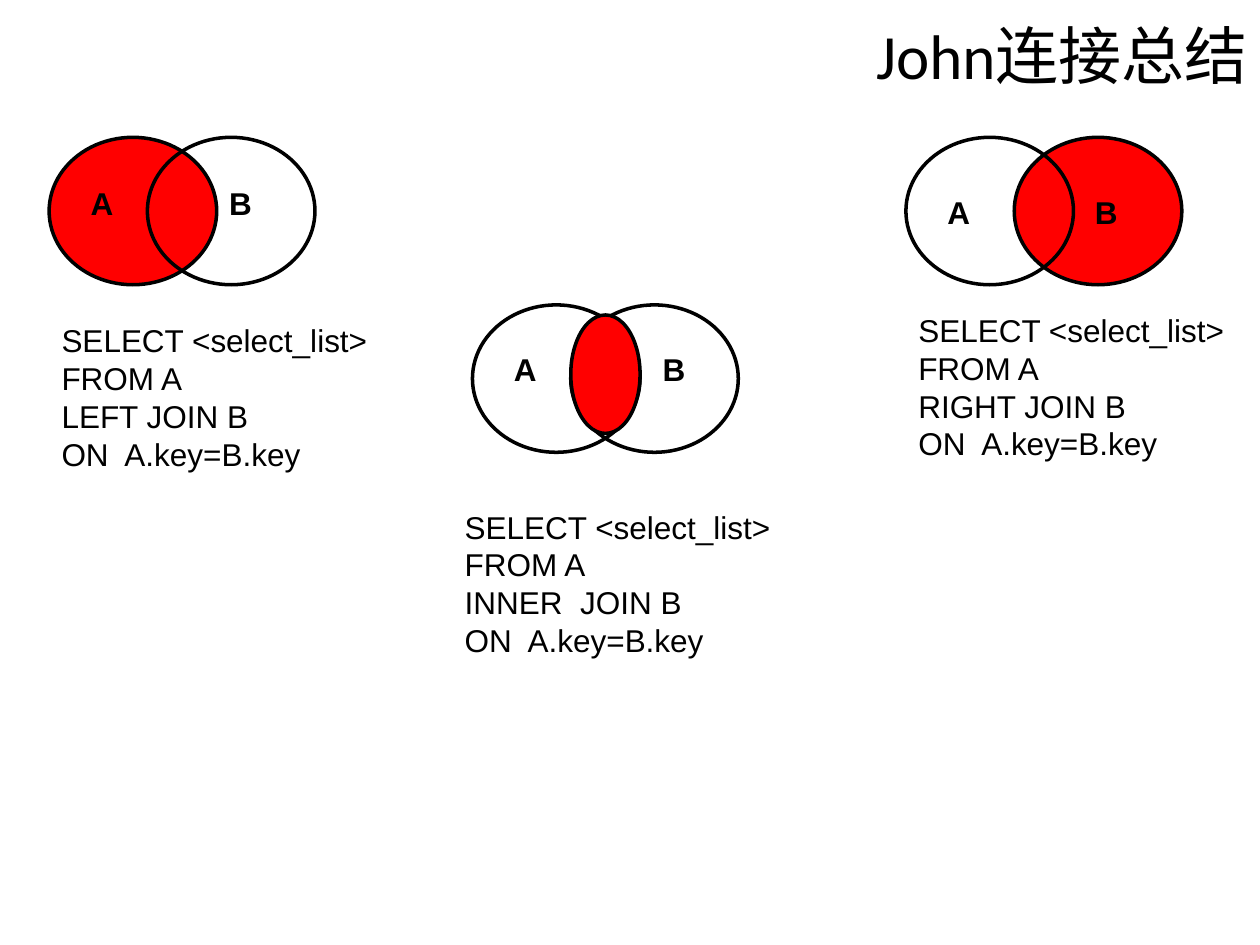
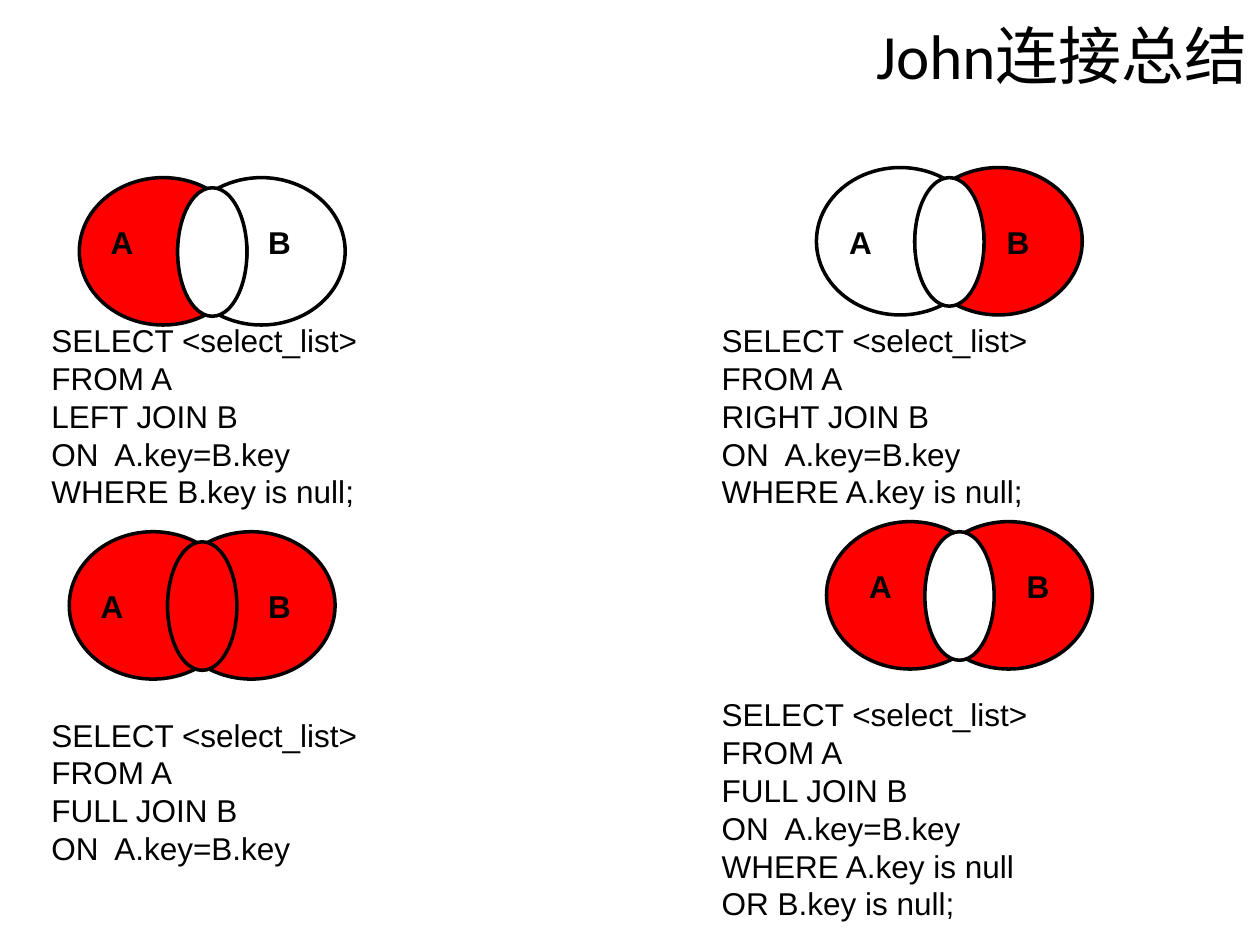
from pptx import Presentation
from pptx.dml.color import RGBColor
from pptx.enum.shapes import MSO_SHAPE as Shape
from pptx.enum.text import MSO_ANCHOR as Anchor, PP_ALIGN as Align
from pptx.util import Inches, Pt

BLACK, RED, WHITE = "000000", "FF0000", "FFFFFF"
CIRCLE_WIDTH, CIRCLE_HEIGHT = 1.33, 1.17
LENS_WIDTH, LENS_DROP = 0.55, 0.08
TITLE = "John连接总结"


def add_ellipse(shapes, left, top, width, height, fill):
    ellipse = shapes.add_shape(Shape.OVAL, Inches(left), Inches(top),
                               Inches(width), Inches(height))
    ellipse.shadow.inherit = False
    if fill:
        ellipse.fill.solid()
        ellipse.fill.fore_color.rgb = RGBColor.from_string(fill)
    else:
        ellipse.fill.background()
    ellipse.line.color.rgb = RGBColor.from_string(BLACK)
    ellipse.line.width = Pt(2)


def add_text(shapes, left, top, width, height, text, size=18, font="Arial", bold=False):
    box = shapes.add_textbox(Inches(left), Inches(top), Inches(width), Inches(height))
    box.text_frame.word_wrap = True
    box.text_frame.text = text
    for para in box.text_frame.paragraphs:
        for span in para.runs:
            span.font.size = Pt(size)
            span.font.name = font
            span.font.bold = bold
            span.font.color.rgb = RGBColor.from_string(BLACK)
    return box


# Each Venn diagram: left, top, distance from A to B, fills of A and B,
# lens (fill, height) or None, offsets of label A, label B and their drop.
# Each query: left, top, and the lines after "FROM A".
slides = [
    {
        "diagrams": [
            (0.39, 1.09, 0.78, RED, None, None, 0.23, 1.33, 0.32),
            (7.19, 1.09, 0.86, None, RED, None, 0.23, 1.40, 0.39),
            (3.75, 2.42, 0.78, None, None, (RED, 0.94), 0.23, 1.41, 0.31),
        ],
        "queries": [
            (3.59, 3.98, ["INNER  JOIN B", "ON  A.key=B.key"]),
            (0.39, 2.50, ["LEFT JOIN B", "ON  A.key=B.key"]),
            (7.19, 2.42, ["RIGHT JOIN B", "ON  A.key=B.key"]),
        ],
    },
    {
        "diagrams": [
            (6.48, 1.33, 0.78, None, RED, (WHITE, 1.02), 0.16, 1.41, 0.39),
            (0.63, 1.41, 0.78, RED, None, (WHITE, 1.02), 0.15, 1.40, 0.31),
            (0.55, 4.22, 0.78, RED, RED, (RED, 1.02), 0.15, 1.48, 0.39),
            (6.56, 4.14, 0.78, RED, RED, (WHITE, 1.02), 0.24, 1.49, 0.31),
        ],
        "queries": [
            (0.31, 2.50, ["LEFT JOIN B", "ON  A.key=B.key", "WHERE B.key is null;"]),
            (5.63, 2.50, ["RIGHT JOIN B", "ON  A.key=B.key", "WHERE A.key is null;"]),
            (0.31, 5.63, ["FULL JOIN B", "ON  A.key=B.key"]),
            (5.63, 5.47, ["FULL JOIN B", "ON  A.key=B.key",
                          "WHERE A.key is null", "OR B.key is null;"]),
        ],
    },
]

deck = Presentation()
deck.slide_width, deck.slide_height = Inches(10), Inches(7.5)

for content in slides:
    page = deck.slides.add_slide(deck.slide_layouts[6])

    # Title
    title = add_text(page.shapes, 1.17, -0.31, 8.83, 1.48, TITLE, 36, "Calibri")
    title.text_frame.vertical_anchor = Anchor.MIDDLE
    title.text_frame.paragraphs[0].alignment = Align.RIGHT

    # Venn diagrams, with a filled circle behind an open one
    for left, top, distance, fill_a, fill_b, lens, label_a, label_b, drop in content["diagrams"]:
        shapes = page.shapes.add_group_shape().shapes
        circles = [(left, fill_a), (left + distance, fill_b)]
        for circle_left, fill in sorted(circles, key=lambda circle: circle[1] is None):
            add_ellipse(shapes, circle_left, top, CIRCLE_WIDTH, CIRCLE_HEIGHT, fill)
        if lens:
            lens_fill, lens_height = lens
            add_ellipse(shapes, left + distance, top + LENS_DROP,
                        LENS_WIDTH, lens_height, lens_fill)
        for label, offset in (("A", label_a), ("B", label_b)):
            add_text(shapes, left + offset, top + drop, 0.55, 0.4, label, bold=True)

    # Queries
    for left, top, clauses in content["queries"]:
        lines = ["SELECT <select_list>", "FROM A"] + clauses
        add_text(page.shapes, left, top, 4.14, 0.1 + 0.3 * len(lines), "\n".join(lines))

deck.save("out.pptx")
